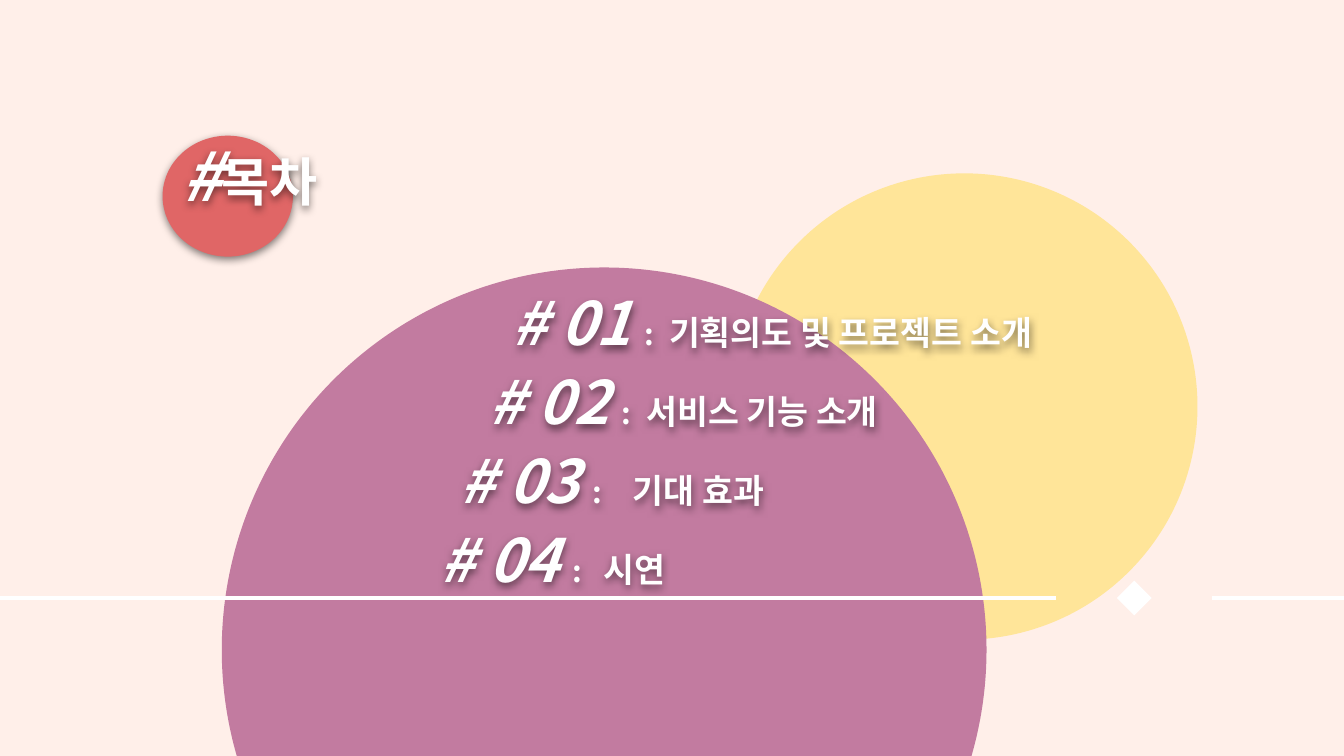
import pptx
import pptx.util
import pptx.dml.color
import pptx.enum.shapes
import pptx.enum.text
import pptx.oxml
import lxml.etree

Inches = pptx.util.Inches
Pt = pptx.util.Pt
kinds = pptx.enum.shapes.MSO_SHAPE
space = "http://schemas.openxmlformats.org/drawingml/2006/main"
face = "Noto Sans CJK KR"
white = "FFFFFF"


def paint(fill, tint):
    fill.solid()
    fill.fore_color.rgb = pptx.dml.color.RGBColor.from_string(tint)


def write(para, text, size, slant=False):
    run = para.add_run()
    run.text = text
    run.font.size = Pt(size)
    run.font.bold = True
    run.font.italic = slant
    paint(run.font.fill, white)
    run.font.name = face
    east = lxml.etree.SubElement(run.font._element, f"{{{space}}}ea")
    east.set("typeface", face)


deck = pptx.Presentation()
deck.slide_width, deck.slide_height = Inches(10), Inches(10 * 9 / 16)
slide = deck.slides.add_slide(deck.slide_layouts[5])
paint(slide.background.fill, "FFEFE9")
shapes = slide.shapes

discs = []
for left, top, width, height, tint in [
    (5.44, 1.29, 3.47, 3.47, "FFE599"),
    (1.65, 1.99, 5.69, 5.69, "C27BA0"),
    (1.21, 1.01, 0.97, 0.9, "E06666"),
]:
    disc = shapes.add_shape(
        kinds.OVAL, Inches(left), Inches(top), Inches(width), Inches(height)
    )
    paint(disc.fill, tint)
    disc.line.fill.background()
    disc.shadow.inherit = False
    discs.append(disc)

title = shapes.title
title.left, title.top = Inches(1.25), Inches(0.97)
title.width, title.height = Inches(1.64), Inches(0.69)
title.element.getparent().append(title.element)
para = title.text_frame.paragraphs[0]
para.alignment = pptx.enum.text.PP_ALIGN.LEFT
para.line_spacing = 0.9
write(para, "#", 36, True)
write(para, "목차", 28)

boxes = [title]
items = [
    (3.71, 1.17, "기획의도 및 프로젝트 소개"),
    (3.54, 1.17, "서비스 기능 소개"),
    (3.32, 1.29, "기대 효과"),
    (3.17, 1.22, "시연"),
]
step = (3.71 - 1.95) / 3
for row, (left, stop, label) in enumerate(items):
    box = shapes.add_textbox(
        Inches(left), Inches(1.95 + row * step), Inches(5.3), Inches(0.38)
    )
    para = box.text_frame.paragraphs[0]
    para.line_spacing = 1.15
    para.space_after = Pt(16)
    props = para._p.get_or_add_pPr()
    tabs = lxml.etree.SubElement(props, f"{{{space}}}tabLst")
    lxml.etree.SubElement(
        tabs, f"{{{space}}}tab", pos=str(Inches(stop)), algn="l"
    )
    write(para, f"# {row + 1:02} ", 32, True)
    write(para, ":\t", 16)
    write(para, label, 18)
    boxes.append(box)

for box in boxes:
    frame = box.text_frame
    frame.word_wrap = True
    frame.auto_size = pptx.enum.text.MSO_AUTO_SIZE.NONE
    frame.vertical_anchor = pptx.enum.text.MSO_ANCHOR.TOP
    frame.margin_left = frame.margin_right = Inches(0.1)
    frame.margin_top = frame.margin_bottom = Inches(0.1)
    box.shadow.inherit = False

for shape in [discs[-1]] + boxes:
    effects = shape.element.spPr.find(f"{{{space}}}effectLst")
    effects.append(pptx.oxml.parse_xml(
        f'<a:outerShdw xmlns:a="{space}" blurRad="{Pt(4.5)}" dist="{Pt(1.5)}"'
        ' dir="5400000" algn="bl" rotWithShape="0"><a:srgbClr val="000000">'
        '<a:alpha val="50000"/></a:srgbClr></a:outerShdw>'
    ))

level = Inches(4.45)
for start, end in [(-1.09, 7.86), (9.02, 17.97)]:
    line = shapes.add_connector(
        pptx.enum.shapes.MSO_CONNECTOR.STRAIGHT,
        Inches(start), level, Inches(end), level,
    )
    paint(line.line.fill, white)
    line.line.width = Pt(2.25)
    lxml.etree.SubElement(line.element.spPr, f"{{{space}}}effectLst")

gem = shapes.add_shape(
    kinds.DIAMOND, Inches(8.31), Inches(4.32), Inches(0.26), Inches(0.26)
)
paint(gem.fill, white)
gem.line.fill.background()
gem.shadow.inherit = False

deck.save("out.pptx")
